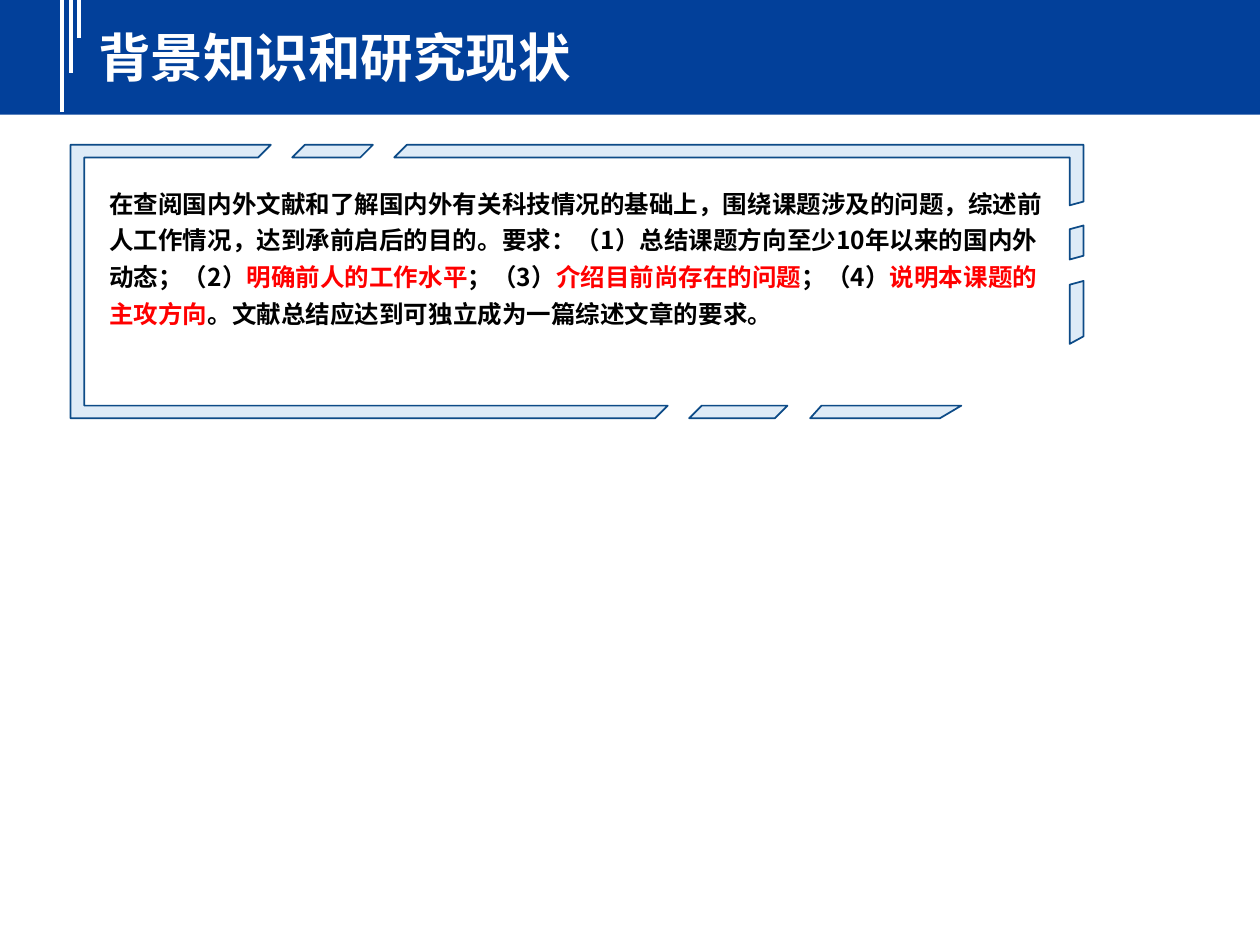
"""Build a slide with a title banner and a broken frame around a requirements text."""
import lxml.etree
import pptx
import pptx.dml.color
import pptx.enum.shapes
import pptx.enum.text
import pptx.oxml.ns
import pptx.util

COLORS = {
    "banner": "02409A",
    "white": "FFFFFF",
    "text": "000000",
    "emphasis": "FF0000",
    "frame_fill": "DEEBF7",
    "frame_line": "0D4B87",
}
FONT = "Noto Sans CJK SC"

presentation = pptx.Presentation()
presentation.slide_width = pptx.util.Inches(10)
presentation.slide_height = pptx.util.Inches(7.5)
slide = presentation.slides.add_slide(presentation.slide_layouts[5])
shapes = slide.shapes
UNIT = presentation.slide_width // 1000


def rgb(name):
    return pptx.dml.color.RGBColor.from_string(COLORS[name])


def write_text(shape, runs, size, line_spacing=1.0, anchor=pptx.enum.text.MSO_ANCHOR.TOP):
    frame = shape.text_frame
    frame.word_wrap = True
    frame.auto_size = pptx.enum.text.MSO_AUTO_SIZE.SHAPE_TO_FIT_TEXT
    frame.vertical_anchor = anchor
    paragraph = frame.paragraphs[0]
    paragraph.alignment = pptx.enum.text.PP_ALIGN.LEFT
    paragraph.line_spacing = line_spacing
    for text, color in runs:
        run = paragraph.add_run()
        run.text = text
        run.font.size = pptx.util.Pt(size)
        run.font.bold = True
        run.font.color.rgb = rgb(color)
        run.font.name = FONT
        properties = run.font._element
        lxml.etree.SubElement(properties, pptx.oxml.ns.qn("a:ea"), typeface=FONT)


banner_top = -3 * UNIT
banner = shapes.add_shape(
    pptx.enum.shapes.MSO_SHAPE.RECTANGLE, 0, banner_top, presentation.slide_width, 94 * UNIT
)
banner.shadow.inherit = False
banner.fill.solid()
banner.fill.fore_color.rgb = rgb("banner")
banner.line.fill.background()

for index, bottom in enumerate((89, 58, 30)):
    column = (49 + 7 * index) * UNIT
    stripe = shapes.add_connector(
        pptx.enum.shapes.MSO_CONNECTOR.STRAIGHT, column, banner_top, column, bottom * UNIT
    )
    stripe.line.color.rgb = rgb("white")
    stripe.line.width = pptx.util.Pt(2.25)
    lxml.etree.SubElement(stripe._element.spPr, pptx.oxml.ns.qn("a:effectLst"))

title = shapes.title
title.left, title.top, title.width, title.height = (
    length * UNIT for length in (68, 15, 912, 60)
)
write_text(title, [("背景知识和研究现状", "white")], size=30)
banner._element.getparent().append(title._element)

requirements = shapes.add_textbox(*(length * UNIT for length in (77, 139, 766, 128)))
write_text(
    requirements,
    [
        ("在查阅国内外文献和了解国内外有关科技情况的基础上，围绕课题涉及的问题，"
         "综述前人工作情况，达到承前启后的目的。要求：（1）总结课题方向至少10年以来的国内外动态；（2）", "text"),
        ("明确前人的工作水平", "emphasis"),
        ("；（3）", "text"),
        ("介绍目前尚存在的问题", "emphasis"),
        ("；（4）", "text"),
        ("说明本课题的主攻方向", "emphasis"),
        ("。文献总结应达到可独立成为一篇综述文章的要求。", "text"),
    ],
    size=14,
    line_spacing=1.25,
)

left, inner_left, inner_right, right = 56, 67, 849, 860
top, inner_top, inner_bottom, bottom = 115, 125, 322, 332
frame_pieces = [
    [(652, inner_bottom), (763, inner_bottom), (746, bottom), (643, bottom)],
    [(557, inner_bottom), (625, inner_bottom), (615, bottom), (547, bottom)],
    [(right, 223), (right, 267), (inner_right, 273), (inner_right, 226)],
    [(right, 179), (right, 203), (inner_right, 206), (inner_right, 182)],
    [(323, top), (right, top), (right, 160), (inner_right, 163),
     (inner_right, inner_top), (313, inner_top)],
    [(242, top), (296, top), (286, inner_top), (232, inner_top)],
    [(left, top), (215, top), (205, inner_top), (inner_left, inner_top),
     (inner_left, inner_bottom), (530, inner_bottom), (520, bottom), (left, bottom)],
]
builder = shapes.build_freeform(*frame_pieces[0][0], scale=UNIT)
for index, (start, *corners) in enumerate(frame_pieces):
    if index:
        builder.move_to(*start)
    builder.add_line_segments(corners, close=True)
frame = builder.convert_to_shape()
frame.shadow.inherit = False
frame.fill.solid()
frame.fill.fore_color.rgb = rgb("frame_fill")
frame.line.color.rgb = rgb("frame_line")
frame.line.width = pptx.util.Pt(1)

presentation.save("out.pptx")
